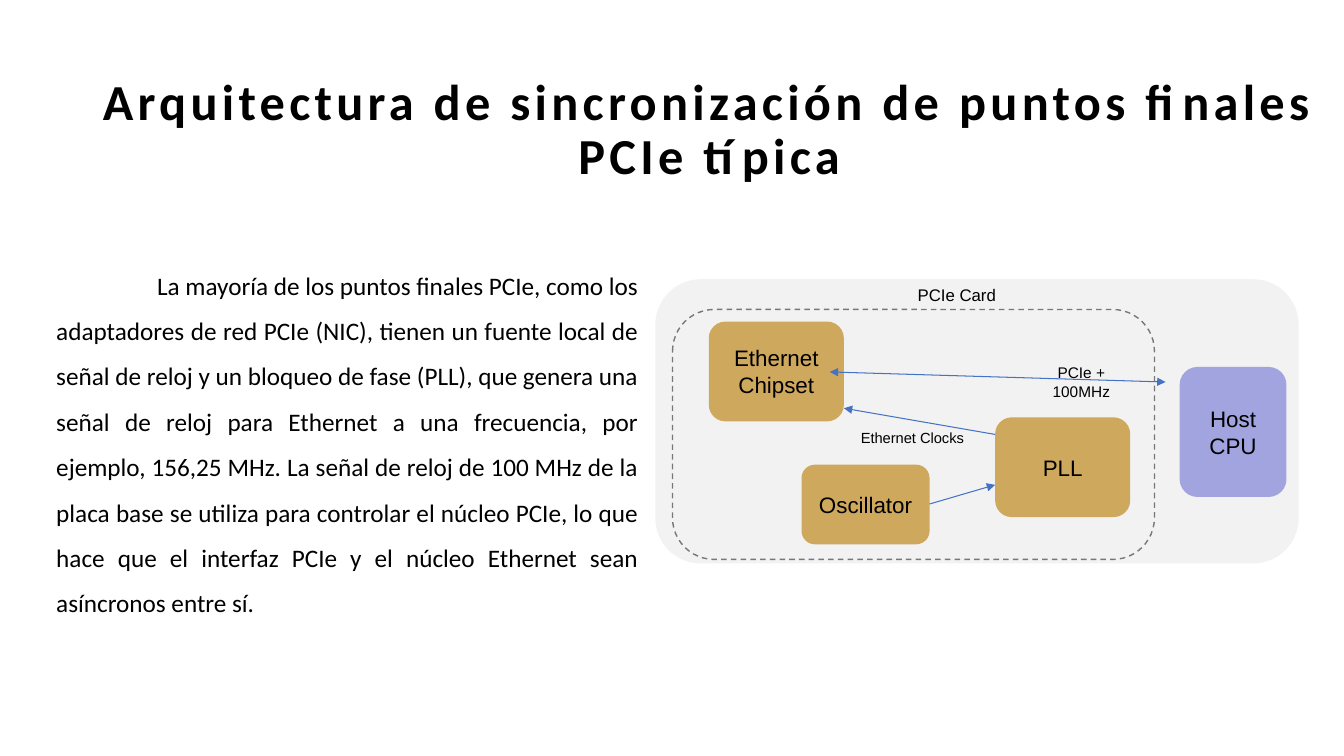
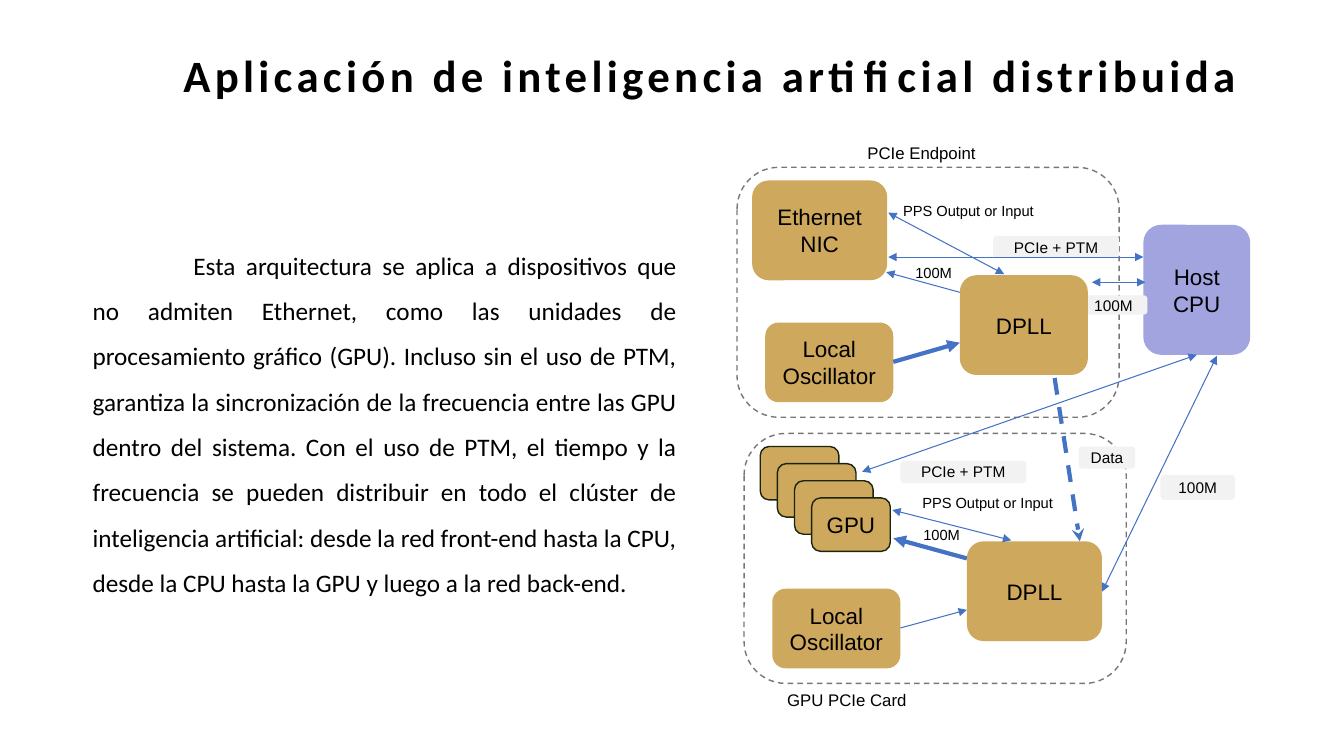
from pptx import Presentation
from pptx.dml.color import RGBColor
from pptx.enum.dml import MSO_LINE
from pptx.enum.shapes import MSO_CONNECTOR, MSO_SHAPE
from pptx.enum.text import MSO_ANCHOR, PP_ALIGN
from pptx.oxml.ns import qn
from pptx.oxml.xmlchemy import OxmlElement
from pptx.util import Pt

EMU_PER_PX = 9144
SLIDE_WIDTH, SLIDE_HEIGHT = 1333, 750

BLACK = RGBColor(0x00, 0x00, 0x00)
GOLD = RGBColor(0xCE, 0xA8, 0x5C)
LILAC = RGBColor(0xA1, 0xA4, 0xDF)
PALE_GREY = RGBColor(0xF2, 0xF2, 0xF2)
FRAME_GREY = RGBColor(0x75, 0x77, 0x78)
DARK_OLIVE = RGBColor(0x19, 0x25, 0x0C)
ARROW_BLUE = RGBColor(0x44, 0x72, 0xC4)

CENTER, LEFT, JUSTIFY = PP_ALIGN.CENTER, PP_ALIGN.LEFT, PP_ALIGN.JUSTIFY
TOP, MIDDLE = MSO_ANCHOR.TOP, MSO_ANCHOR.MIDDLE
DASH = MSO_LINE.DASH
ROUNDED, STRAIGHT = MSO_SHAPE.ROUNDED_RECTANGLE, MSO_CONNECTOR.STRAIGHT

HEADING_FONT, DIAGRAM_FONT = "Calibri", "Arial"
TITLE_SPACING = 310
FIRST_LINE_INDENT = 100
CORNER = 0.167
THIN, THICK = 0.75, 3
BLOCK_SIZE, HOST_SIZE = (134, 99), (106, 129)
OSCILLATOR_SIZE, CHIP_SIZE = (127, 79), (125, 22)
GPU_SIZE, GPU_STEP, GPU_COUNT = (78, 53), 17, 4

CLOCKING_TEXT = (
    "La mayoría de los puntos finales PCIe, como los adaptadores de red PCIe (NIC), "
    "tienen un fuente local de señal de reloj y un bloqueo de fase (PLL), que genera "
    "una señal de reloj para Ethernet a una frecuencia, por ejemplo, 156,25 MHz. "
    "La señal de reloj de 100 MHz de la placa base se utiliza para controlar el núcleo "
    "PCIe, lo que hace que el interfaz PCIe y el núcleo Ethernet sean asíncronos entre sí."
)
CLUSTER_TEXT = (
    "Esta arquitectura se aplica a dispositivos que no admiten Ethernet, como las "
    "unidades de procesamiento gráfico (GPU). Incluso sin el uso de PTM, garantiza la "
    "sincronización de la frecuencia entre las GPU dentro del sistema. Con el uso de PTM, "
    "el tiempo y la frecuencia se pueden distribuir en todo el clúster de inteligencia "
    "artificial: desde la red front-end hasta la CPU, desde la CPU hasta la GPU y luego "
    "a la red back-end."
)


def px(*lengths):
    return [length * EMU_PER_PX for length in lengths]


def apply_format(target, values):
    for name, value in values.items():
        setattr(target, name, value)


def write_text(box, text, size, align=CENTER, anchor=MIDDLE, font=DIAGRAM_FONT,
               bold=False, line_spacing=None, margins=(10, 5)):
    side, edge = px(*margins)
    apply_format(box.text_frame, {
        "word_wrap": True, "vertical_anchor": anchor,
        "margin_left": side, "margin_right": side,
        "margin_top": edge, "margin_bottom": edge,
    })
    para = box.text_frame.paragraphs[0]
    apply_format(para, {"alignment": align, "line_spacing": line_spacing})
    span = para.add_run()
    span.text = text
    apply_format(span.font, {"name": font, "size": Pt(size), "bold": bold})
    span.font.color.rgb = BLACK
    return para


def add_title(page, left, top, text, size):
    box = page.shapes.add_textbox(*px(left, top, 1213, 54))
    para = write_text(box, text, size, font=HEADING_FONT, bold=True,
                      line_spacing=0.9, margins=(5, 2))
    para.runs[0].font._element.set("spc", str(TITLE_SPACING))


def add_body(page, left, top, width, text):
    box = page.shapes.add_textbox(*px(left, top, width, 374))
    para = write_text(box, text, 18, JUSTIFY, TOP, HEADING_FONT, line_spacing=1.5)
    para._p.get_or_add_pPr().set("indent", str(px(FIRST_LINE_INDENT)[0]))


def add_label(page, left, top, width, text, size=10.5, align=LEFT):
    box = page.shapes.add_textbox(*px(left, top, width, 29))
    write_text(box, text, size, align, TOP)


def add_box(page, position, extent, fill=GOLD, text="", size=16,
            outline=None, dash=None, corner=CORNER):
    box = page.shapes.add_shape(ROUNDED, *px(*position, *extent))
    box.shadow.inherit = False
    box.adjustments[0] = corner
    if fill is None:
        box.fill.background()
    else:
        box.fill.solid()
        box.fill.fore_color.rgb = fill
    if outline is None:
        box.line.fill.background()
    else:
        box.line.color.rgb = outline
        apply_format(box.line, {"width": Pt(1), "dash_style": dash})
    if text:
        write_text(box, text, size)


def add_frame(page, left, top, width):
    add_box(page, (left, top), (width, 248), None, outline=FRAME_GREY, dash=DASH)


def add_chip(page, left, top, text, extent=CHIP_SIZE):
    add_box(page, (left, top), extent, PALE_GREY, text, 11)


def add_host(page, left, top):
    add_box(page, (left, top), HOST_SIZE, LILAC, "Host CPU")


def add_card(page, left, top):
    add_frame(page, left, top, 379)
    add_box(page, (left + 28, top + 154), OSCILLATOR_SIZE, text="Local Oscillator")


def add_gpu_stack(page, left, top):
    for index in range(GPU_COUNT):
        shift = index * GPU_STEP
        text = "GPU" if index == GPU_COUNT - 1 else ""
        add_box(page, (left + shift, top + shift), GPU_SIZE, text=text,
                outline=DARK_OLIVE)


def add_arrow(page, start, end, width=THIN, both=False, dash=None, tip="triangle"):
    arrow = page.shapes.add_connector(STRAIGHT, *px(*start, *end))
    arrow.line.color.rgb = ARROW_BLUE
    apply_format(arrow.line, {"width": Pt(width), "dash_style": dash})
    properties = arrow.element.spPr
    outline = properties.find(qn("a:ln"))
    for tag in ("a:headEnd", "a:tailEnd") if both else ("a:tailEnd",):
        arrowhead = OxmlElement(tag)
        arrowhead.set("type", tip)
        outline.append(arrowhead)
    properties.append(OxmlElement("a:effectLst"))


def build_clocking(page):
    add_title(page, 97, 103,
              "Arquitectura de sincronización de puntos finales PCIe típica", 36)
    add_body(page, 46, 248, 597, CLOCKING_TEXT)
    add_box(page, (650, 277), (638, 282), PALE_GREY, corner=0.16)
    add_frame(page, 667, 307, 478)
    add_box(page, (703, 319), BLOCK_SIZE, text="Ethernet Chipset")
    add_box(page, (795, 461), OSCILLATOR_SIZE, text="Oscillator")
    add_arrow(page, (987, 431), (837, 405))
    add_label(page, 844, 421, 140, "Ethernet Clocks")
    add_chip(page, 1010, 368, "PCIe + 100MHz")
    add_label(page, 875, 278, 148, "PCIe Card", 12, CENTER)
    add_arrow(page, (823, 369), (1156, 379), both=True)
    add_host(page, 1170, 364)
    add_box(page, (987, 414), BLOCK_SIZE, text="PLL")
    add_arrow(page, (922, 500), (987, 481))


def build_endpoint(page):
    add_card(page, 731, 166)
    add_box(page, (746, 179), BLOCK_SIZE, text="Ethernet NIC")
    add_arrow(page, (952, 290), (879, 270))
    add_label(page, 898, 257, 60, "100M")
    add_label(page, 886, 195, 166, "PPS Output or Input")
    add_chip(page, 985, 234, "PCIe + PTM")
    add_label(page, 840, 137, 148, "PCIe Endpoint", 12, CENTER)
    add_arrow(page, (881, 255), (1134, 255), both=True)
    add_host(page, 1134, 223)
    add_arrow(page, (1083, 280), (1136, 280), both=True)
    add_chip(page, 1071, 293, "100M", (67, 19))
    add_box(page, (952, 273), (127, 99), text="DPLL")
    add_arrow(page, (886, 359), (952, 340), THICK)
    add_arrow(page, (881, 211), (996, 272), both=True)


def build_gpu_card(page):
    add_card(page, 738, 430)
    add_arrow(page, (959, 554), (886, 534), THICK)
    add_label(page, 906, 517, 60, "100M")
    add_label(page, 905, 485, 166, "PPS Output or Input")
    add_box(page, (959, 537), BLOCK_SIZE, text="DPLL")
    add_arrow(page, (893, 623), (959, 605))
    add_arrow(page, (885, 506), (1003, 536), both=True)
    add_arrow(page, (855, 468), (1187, 352), both=True)
    add_chip(page, 893, 457, "PCIe + PTM")
    add_arrow(page, (1093, 587), (1207, 353), both=True)
    add_chip(page, 1151, 471, "100M", (74, 25))
    add_label(page, 746, 679, 188, "GPU PCIe Card", 12, CENTER)
    add_gpu_stack(page, 754, 443)
    add_arrow(page, (1046, 375), (1071, 537), THICK, dash=DASH, tip="stealth")
    add_chip(page, 1070, 443, "Data", (56, 22))


def build_cluster(page):
    add_title(page, 98, 50, "Aplicación de inteligencia artificial distribuida", 32)
    add_body(page, 82, 228, 599, CLUSTER_TEXT)
    build_endpoint(page)
    build_gpu_card(page)


def main():
    deck = Presentation()
    deck.slide_width, deck.slide_height = px(SLIDE_WIDTH, SLIDE_HEIGHT)
    for build in (build_clocking, build_cluster):
        build(deck.slides.add_slide(deck.slide_layouts[6]))
    deck.save("out.pptx")


if __name__ == "__main__":
    main()
